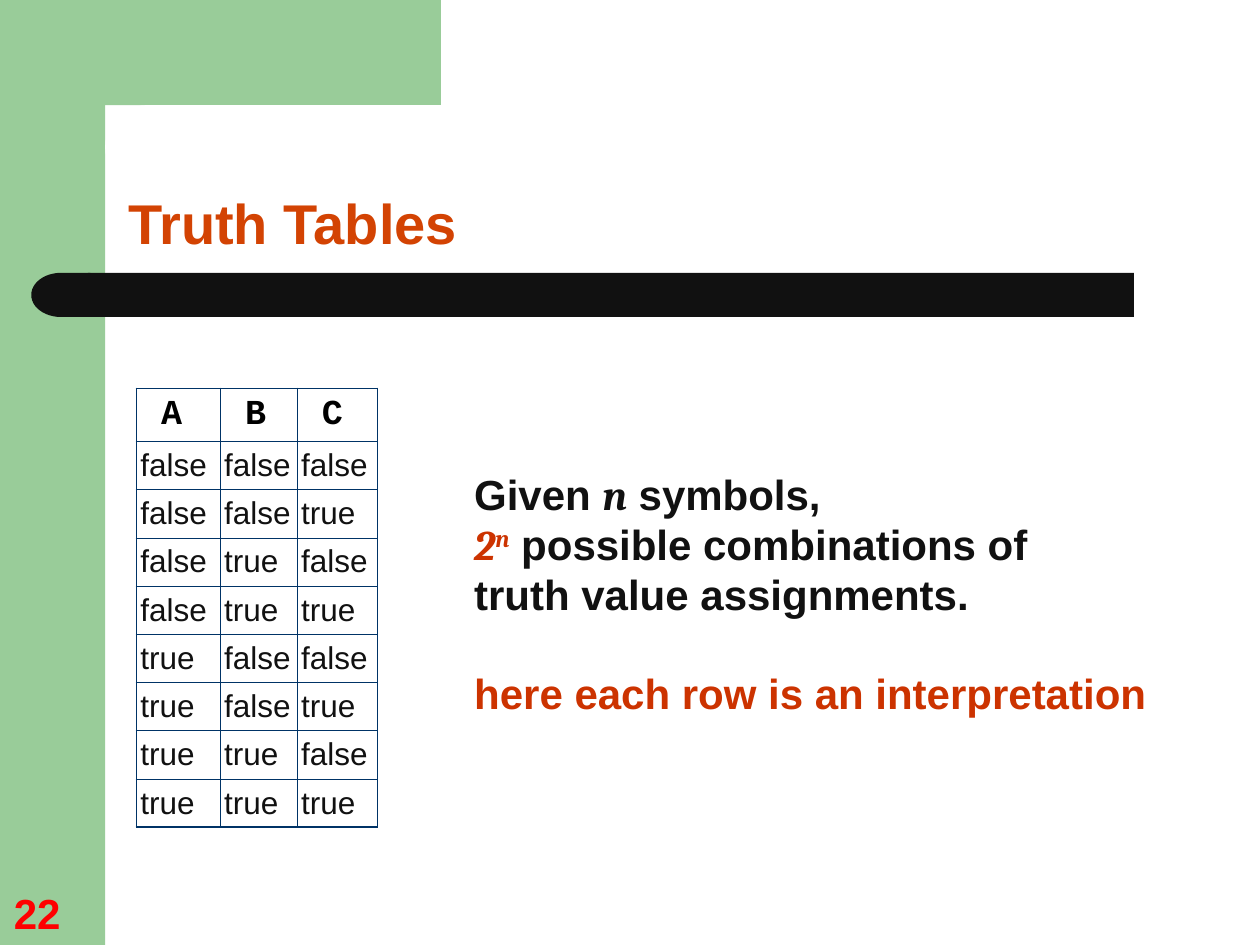
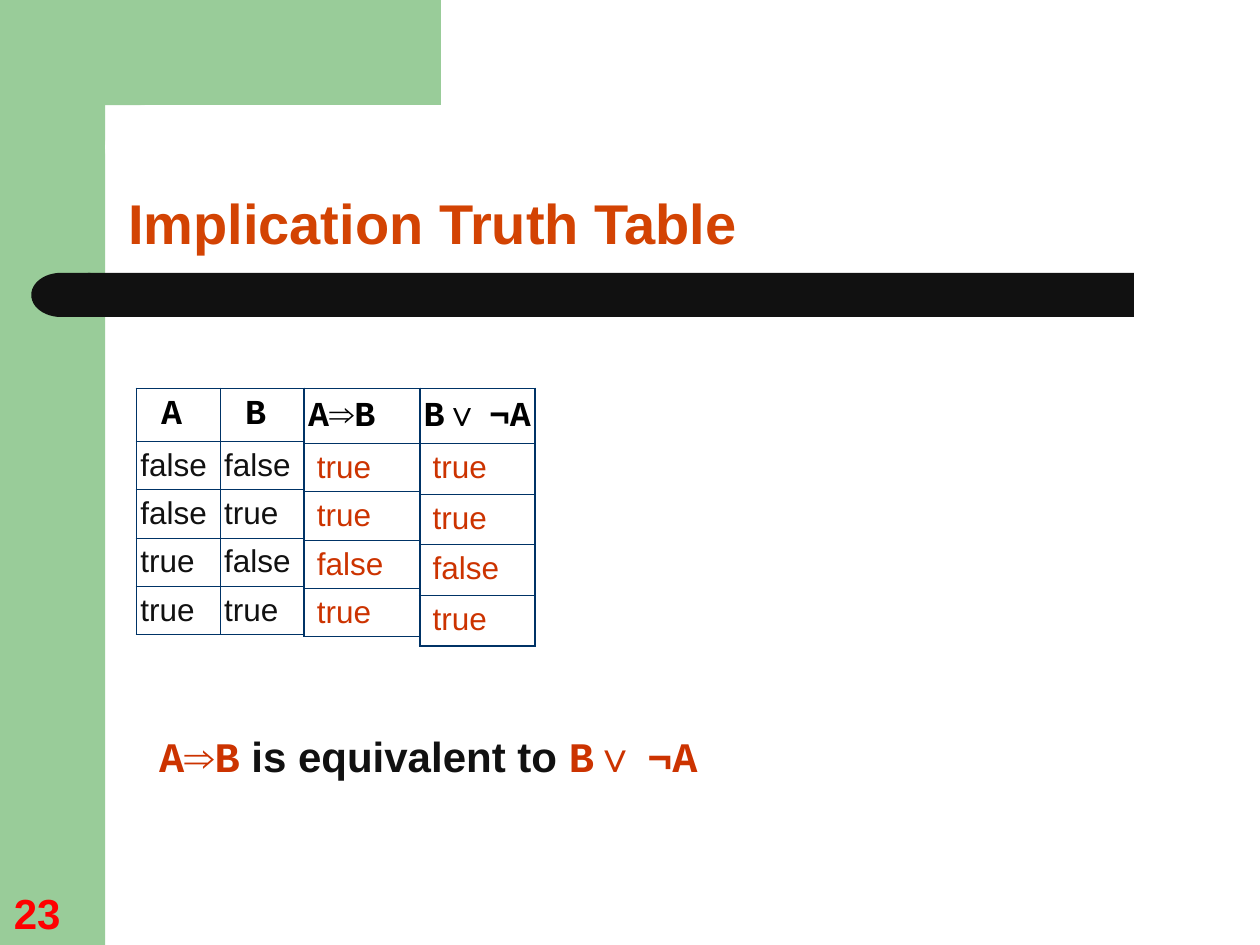
from itertools import product

from lxml import etree
from pptx import Presentation
from pptx.dml.color import RGBColor
from pptx.enum.shapes import MSO_SHAPE
from pptx.enum.text import MSO_ANCHOR, MSO_AUTO_SIZE, PP_ALIGN
from pptx.oxml.ns import qn
from pptx.util import Cm, Pt

RECTANGLE = MSO_SHAPE.RECTANGLE
ROUNDED = MSO_SHAPE.ROUNDED_RECTANGLE
DELAY = MSO_SHAPE.FLOWCHART_DELAY
TOP, BOTTOM = MSO_ANCHOR.TOP, MSO_ANCHOR.BOTTOM
LEFT = PP_ALIGN.LEFT
NO_AUTOFIT = MSO_AUTO_SIZE.NONE

COLORS = {
    "band": "99CC99", "paper": "FFFFFF", "ink": "111111", "title": "D34303",
    "accent": "CC3300", "header": "000000", "border": "003366", "number": "FF0000",
}
SANS, SERIF, MONO = "Arial", "Cambria", "Courier New"
THIN, THICK = 0.45, 1.08

# Shape, left, top, width, height in cm, colour, corner radius, rotation
BACKDROP = [
    (RECTANGLE, 0, 0, 2.12, 19.05, "band", None, 0),
    (RECTANGLE, 1.9, 0, 6.99, 2.12, "band", None, 0),
    (ROUNDED, 2.12, 2.12, 14.18, 1.69, "paper", 0.5, 0),
    (ROUNDED, 1.77, 5.5, 21.09, 0.89, "ink", 0, 0),
    (DELAY, 0.63, 5.5, 1.19, 0.89, "ink", None, 180),
]

TABLES_LEFT, TABLES_TOP = 2.75, 7.83
TRUTH_VALUES = ("false", "true")
MATH = {"name": SERIF, "italic": True}
POWER = {**MATH, "color": "accent"}
CODE = {"name": MONO, "color": "accent"}
SYMBOL = {"color": "accent"}

INPUT_STYLE = {"color": "ink", "indent": 0, "header_indent": 0.42}
RESULT_STYLE = {"color": "accent", "indent": 0.18, "header_indent": 0}

SLIDES = [
    {
        "title": "Truth Tables",
        "number": "22",
        "tables": [
            {"headers": ["A", "B", "C"], "rows": list(product(TRUTH_VALUES, repeat=3)),
             "widths": [1.69, 1.55, 1.62], "heights": (1.07, 0.97), **INPUT_STYLE},
        ],
        "texts": [
            ((9.31, 9.31, 11.7, 3.3), [
                ("Given ", {}), ("n", MATH), (" symbols,\n", {}),
                ("2", POWER), ("n", {**POWER, "superscript": True}),
                (" possible combinations of\ntruth value assignments.", {}),
            ]),
            ((9.31, 13.33, 14.4, 1.28),
             [("here each row is an interpretation", SYMBOL)]),
        ],
    },
    {
        "title": "Implication Truth Table",
        "number": "23",
        "tables": [
            {"headers": ["A", "B"], "rows": list(product(TRUTH_VALUES, repeat=2)),
             "widths": [1.69, 1.69], "heights": (1.07, 0.97), **INPUT_STYLE},
            {"headers": [[("A", {}), ("⇒", {"name": SANS, "bold": False}), ("B", {})]],
             "rows": [["true"], ["true"], ["false"], ["true"]],
             "widths": [2.33], "heights": (1.11, 0.97), **RESULT_STYLE},
            {"headers": [[("B", {}), ("∨ ¬", {"name": SANS}), ("A", {})]],
             "rows": [["true"], ["true"], ["false"], ["true"]],
             "widths": [2.33], "heights": (1.11, 1.02), **RESULT_STYLE},
        ],
        "texts": [
            ((2.96, 14.6, 18.42, 1.28), [
                ("A", CODE), ("⇒", SYMBOL), ("B", CODE), (" is equivalent to ", {}),
                ("B", CODE), ("∨ ¬", SYMBOL), ("A", CODE),
            ]),
        ],
    },
]


def rgb(color):
    return RGBColor.from_string(COLORS[color])


def format_run(run, name=SANS, size=24, color="ink", bold=True, italic=False,
               superscript=False):
    font = run.font
    font.name, font.size, font.bold, font.italic = name, Pt(size), bold, italic
    font.color.rgb = rgb(color)
    if superscript:
        font._element.set("baseline", "30000")


def write_text(frame, content, indent=0, line_spacing=None, **style):
    """Write a string, or (text, style) runs, as one paragraph; newlines break lines."""
    paragraph = frame.paragraphs[0]
    paragraph.alignment = LEFT
    if line_spacing:
        paragraph.line_spacing = line_spacing
    if indent:
        paragraph._p.get_or_add_pPr().set("marL", str(Cm(indent)))
    runs = [(content, {})] if isinstance(content, str) else content
    for text, own_style in runs:
        for index, line in enumerate(text.split("\n")):
            if index:
                paragraph.add_line_break()
            if line:
                run = paragraph.add_run()
                run.text = line
                format_run(run, **{**style, **own_style})


def add_text(slide, box, content, anchor=TOP, **style):
    frame = slide.shapes.add_textbox(*map(Cm, box)).text_frame
    frame.word_wrap = True
    frame.vertical_anchor = anchor
    write_text(frame, content, **style)


def add_backdrop(slide):
    for kind, left, top, width, height, color, radius, rotation in BACKDROP:
        shape = slide.shapes.add_shape(kind, Cm(left), Cm(top), Cm(width), Cm(height))
        shape.shadow.inherit = False
        shape.fill.solid()
        shape.fill.fore_color.rgb = rgb(color)
        shape.line.fill.background()
        shape.rotation = rotation
        if radius is not None:
            shape.adjustments[0] = radius


def add_title(slide, text):
    title = slide.shapes.title
    title.left, title.top, title.width, title.height = map(Cm, (2.33, 2.12, 22.44, 3.18))
    slide.shapes._spTree.append(title._element)  # in front of the backdrop
    frame = title.text_frame
    frame.auto_size = NO_AUTOFIT
    frame.vertical_anchor = BOTTOM
    write_text(frame, text, size=32, color="title", line_spacing=0.9)


def set_borders(cell, **widths):
    properties = cell._tc.get_or_add_tcPr()
    for side, width in widths.items():
        line = etree.SubElement(properties, qn(f"a:ln{side}"), w=str(Pt(width)))
        fill = etree.SubElement(line, qn("a:solidFill"))
        etree.SubElement(fill, qn("a:srgbClr"), val=COLORS["border"])


def add_truth_table(slide, left, data):
    rows = [data["headers"], *data["rows"]]
    widths = data["widths"]
    header_height, row_height = data["heights"]
    heights = [header_height] + [row_height] * len(data["rows"])
    table = slide.shapes.add_table(
        len(rows), len(widths), Cm(left), Cm(TABLES_TOP),
        Cm(sum(widths)), Cm(sum(heights))).table
    table.first_row = table.horz_banding = False
    for column, width in zip(table.columns, widths):
        column.width = Cm(width)
    last_row, last_column = len(rows) - 1, len(widths) - 1
    for row, values in enumerate(rows):
        table.rows[row].height = Cm(heights[row])
        for column, value in enumerate(values):
            cell = table.cell(row, column)
            cell.margin_left = cell.margin_right = Cm(0.08)
            cell.margin_top = cell.margin_bottom = Cm(0.13)
            set_borders(cell,
                        L=THIN if column else THICK,
                        R=THICK if column == last_column else THIN,
                        T=THIN if row else THICK,
                        B=THICK if row == last_row else THIN)
            cell.fill.background()
            if row:
                write_text(cell.text_frame, value, indent=data["indent"],
                           size=18, color=data["color"], bold=False)
            else:
                write_text(cell.text_frame, value, indent=data["header_indent"],
                           name=MONO, size=20, color="header")


def main():
    presentation = Presentation()
    presentation.slide_width, presentation.slide_height = Cm(25.4), Cm(19.05)
    title_only = presentation.slide_layouts[5]
    for content in SLIDES:
        slide = presentation.slides.add_slide(title_only)
        add_backdrop(slide)
        add_title(slide, content["title"])
        left = TABLES_LEFT
        for data in content["tables"]:
            add_truth_table(slide, left, data)
            left += sum(data["widths"])
        for box, runs in content["texts"]:
            add_text(slide, box, runs)
        add_text(slide, (0.03, 17.75, 1.63, 1.28), content["number"],
                 anchor=BOTTOM, color="number")
    presentation.save("out.pptx")


if __name__ == "__main__":
    main()
